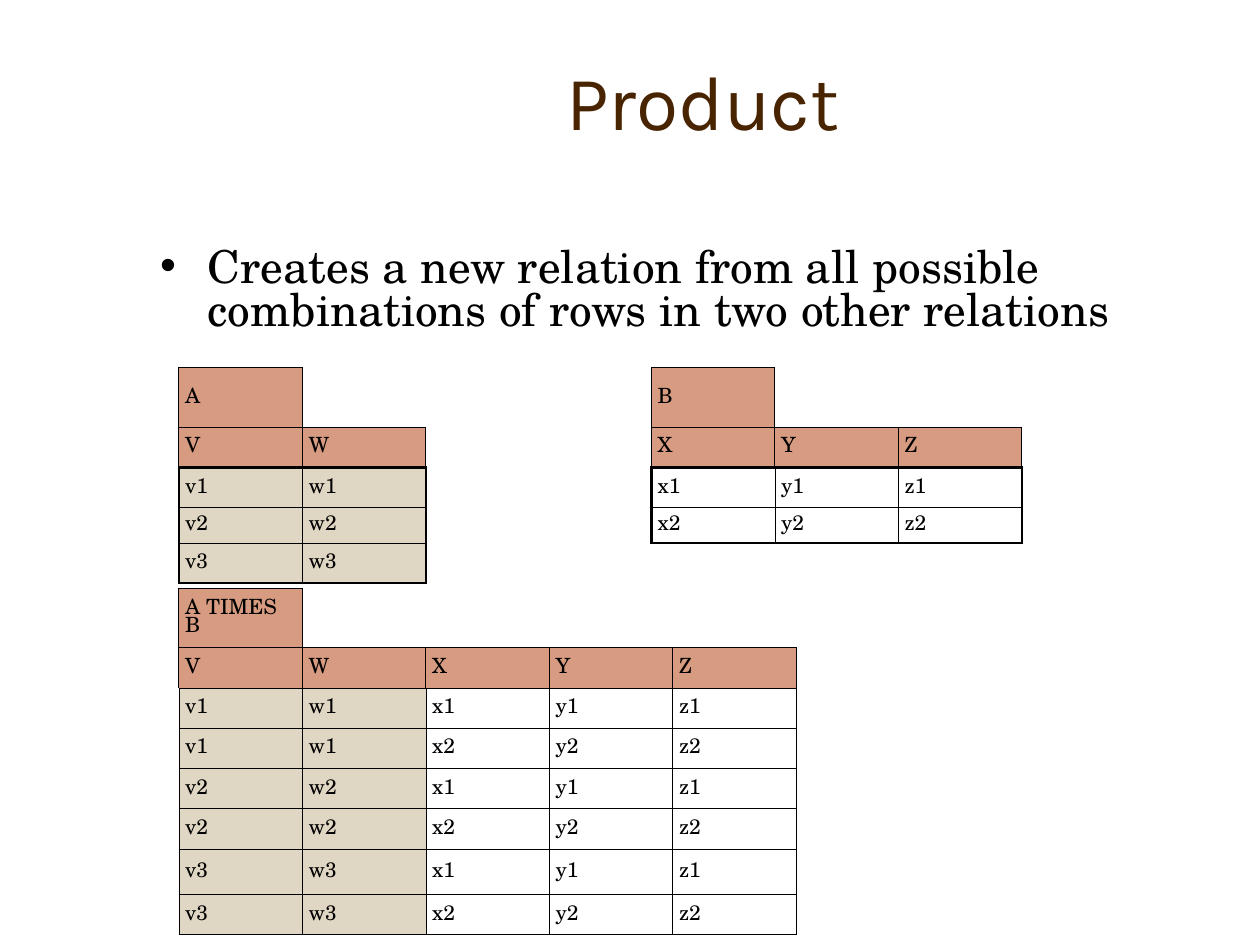
from itertools import product

from lxml.etree import SubElement
from pptx import Presentation
from pptx.dml.color import RGBColor
from pptx.enum.text import MSO_ANCHOR, MSO_AUTO_SIZE, PP_ALIGN
from pptx.oxml.ns import qn
from pptx.util import Inches, Pt

COLORS = {"title": "482400", "text": "000000", "header": "D69B80",
          "A": "DFD6C3", "B": "FFFFFF", "border": "000000"}
TITLE_FONT, BODY_FONT = "Karla", "TeX Gyre Schola"
NO_STYLE = "{2D5ABB26-0587-4C30-8999-92F81FD0307C}"

TITLE = "Product"
STATEMENT = ("Creates a new relation from all possible "
             "combinations of rows in two other relations")
A_COLUMNS, B_COLUMNS = ["V", "W"], ["X", "Y", "Z"]
A_ROWS = [["v1", "w1"], ["v2", "w2"], ["v3", "w3"]]
B_ROWS = [["x1", "y1", "z1"], ["x2", "y2", "z2"]]
PRODUCT_ROWS = [a + b for a, b in product(A_ROWS, B_ROWS)]

COLUMN_WIDTH, NAME_HEIGHT, ROW_HEIGHT = 0.98, 0.47, 0.32
HEADER_LINE, INNER_LINE, FRAME_LINE = 0.75, 0.45, 1.47
LEFT, TOP = 1.42, 2.92

# Odd heights are those of the rows that differ from ROW_HEIGHT.
RELATIONS = [
    {"name": "A", "columns": A_COLUMNS, "rows": A_ROWS, "at": (LEFT, TOP),
     "sources": "AA", "frame": FRAME_LINE, "odd_heights": {3: 0.28}},
    {"name": "B", "columns": B_COLUMNS, "rows": B_ROWS, "at": (5.17, TOP),
     "sources": "BBB", "frame": FRAME_LINE, "odd_heights": {3: 0.28}},
    {"name": "A TIMES B", "columns": A_COLUMNS + B_COLUMNS, "rows": PRODUCT_ROWS,
     "at": (LEFT, 4.67), "sources": "AABBB", "frame": INNER_LINE,
     "odd_heights": {6: 0.36}},
]


def set_attributes(target, values):
    for name, value in values.items():
        setattr(target, name, value)


def write(frame, text, font, size, color, **paragraph_format):
    para = frame.paragraphs[0]
    set_attributes(para, paragraph_format)
    span = para.add_run()
    span.text = text
    set_attributes(span.font, {"name": font, "size": Pt(size)})
    span.font.color.rgb = RGBColor.from_string(COLORS[color])
    return para


def place(shape, left, top, width, height):
    set_attributes(shape, {"left": Inches(left), "top": Inches(top),
                           "width": Inches(width), "height": Inches(height)})
    set_attributes(shape.text_frame, {"auto_size": MSO_AUTO_SIZE.NONE, "word_wrap": True})


def border_widths(row, column, last_row, last_column, frame):
    """Return the widths of the four sides; zero means no line."""
    if row == 0:
        name_side = HEADER_LINE if column == 0 else 0
        return {"lnL": HEADER_LINE if column < 2 else 0, "lnR": name_side,
                "lnT": name_side, "lnB": HEADER_LINE}
    if row == 1:
        return {"lnL": HEADER_LINE, "lnR": HEADER_LINE,
                "lnT": HEADER_LINE, "lnB": frame}
    return {"lnL": frame if column == 0 else INNER_LINE,
            "lnR": frame if column == last_column else INNER_LINE,
            "lnT": frame if row == 2 else INNER_LINE,
            "lnB": frame if row == last_row else INNER_LINE}


def draw_borders(cell, widths):
    properties = cell._tc.get_or_add_tcPr()
    for side, width in widths.items():
        line = SubElement(properties, qn(f"a:{side}"), w=str(Pt(width)))
        if width:
            fill = SubElement(line, qn("a:solidFill"))
            SubElement(fill, qn("a:srgbClr"), val=COLORS["border"])
        else:
            SubElement(line, qn("a:noFill"))


def add_relation(page, relation):
    columns = relation["columns"]
    name_row = [relation["name"]] + [""] * (len(columns) - 1)
    grid = [name_row, columns] + relation["rows"]
    heights = [NAME_HEIGHT] + [relation["odd_heights"].get(row, ROW_HEIGHT)
                               for row in range(1, len(grid))]
    left, top = relation["at"]
    table = page.shapes.add_table(
        len(grid), len(columns), Inches(left), Inches(top),
        Inches(COLUMN_WIDTH * len(columns)), Inches(sum(heights))).table
    set_attributes(table, {"first_row": False, "horz_banding": False})
    table._tbl.tblPr.find(qn("a:tableStyleId")).text = NO_STYLE
    for column in table.columns:
        column.width = Inches(COLUMN_WIDTH)
    for row, height in zip(table.rows, heights):
        row.height = Inches(height)

    margins = {f"margin_{side}": Inches(0.05)
               for side in ("left", "top", "right", "bottom")}
    for row, texts in enumerate(grid):
        for column, text in enumerate(texts):
            cell = table.cell(row, column)
            set_attributes(cell, margins | {"vertical_anchor": MSO_ANCHOR.MIDDLE})
            draw_borders(cell, border_widths(row, column, len(grid) - 1,
                                             len(columns) - 1, relation["frame"]))
            if not text:
                cell.fill.background()
                continue
            color = "header" if row < 2 else relation["sources"][column]
            cell.fill.solid()
            cell.fill.fore_color.rgb = RGBColor.from_string(COLORS[color])
            write(cell.text_frame, text, BODY_FONT, 12, "text",
                  line_spacing=0.6, space_before=Pt(3))


def main():
    deck = Presentation()
    set_attributes(deck, {"slide_width": Inches(10), "slide_height": Inches(7.5)})
    page = deck.slides.add_slide(deck.slide_layouts[1])
    title, body = page.placeholders

    place(title, 1.33, 0.42, 8.5, 0.75)
    title.text_frame.vertical_anchor = MSO_ANCHOR.MIDDLE
    write(title.text_frame, TITLE, TITLE_FONT, 44, "title", alignment=PP_ALIGN.CENTER)

    place(body, 1.17, 1.92, 8.5, 1)
    para = write(body.text_frame, STATEMENT, BODY_FONT, 25.9, "text",
                 line_spacing=0.8, space_before=Pt(7))
    properties = para._p.get_or_add_pPr()
    properties.set("marL", str(Inches(0.38)))
    properties.set("indent", str(-Inches(0.38)))

    for relation in RELATIONS:
        add_relation(page, relation)
    deck.save("out.pptx")


if __name__ == "__main__":
    main()
